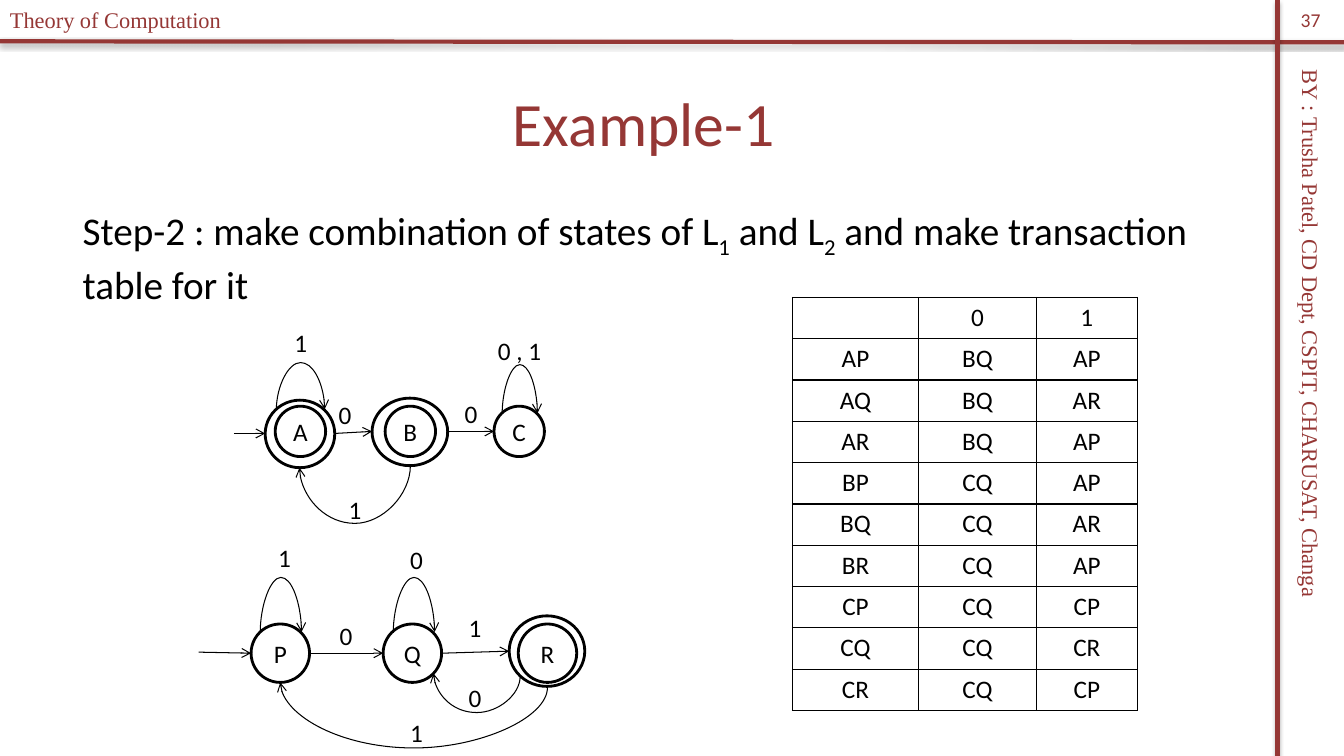
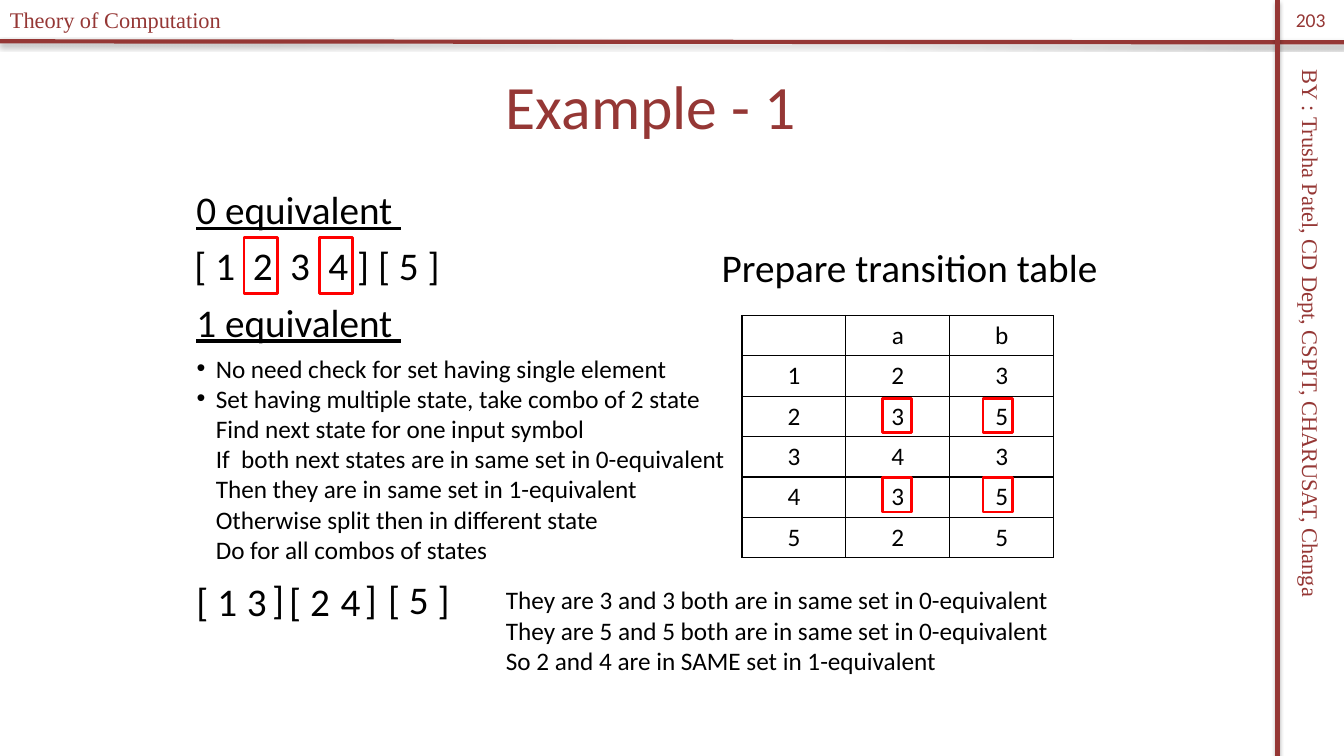
"""Builds two Theory of Computation slides: state combination and DFA minimisation."""
from dataclasses import dataclass
from itertools import product

from lxml import etree
from pptx import Presentation
from pptx import util as u
from pptx.dml.color import RGBColor
from pptx.enum import shapes, text
from pptx.oxml import parse_xml
from pptx.oxml.ns import nsdecls, qn


@dataclass(frozen=True)
class Theme:
    accent: str = "953735"
    ink: str = "000000"
    paper: str = "FFFFFF"
    mark: str = "FF0000"
    sans: str = "Calibri"
    serif: str = "Times New Roman"
    title: int = 44
    lead: int = 28
    normal: int = 18
    frame: int = 16
    number: int = 14
    thick: float = 3
    medium: float = 2
    thin: float = 0.75


THEME = Theme()
WIDTH, HEIGHT = 13.33, 7.5
RULE_X, RULE_Y = 12.67, 0.41
COURSE = "Theory of Computation"
AUTHOR = "BY : Trusha Patel, CD Dept, CSPIT, CHARUSAT, Changa"

COMBINE = {
    "title": "Example-1", "title_at": (0.22, 0.58, 12.33, 1.25), "number": "37",
    "body_at": (0.22, 2, 12.33, 5.25),
    "step": [("Step-2 : make combination of states of L", 0), ("1", -25), (" and L", 0),
             ("2", -25), (" and make transaction table for it", 0)],
    "table_at": (7.86, 2.95), "columns": (1.25, 1.17, 1), "row": 0.41,
    "rows": ["- 0 1", "AP BQ AP", "AQ BQ AR", "AR BQ AP", "BP CQ AP", "BQ CQ AR",
             "BR CQ AP", "CP CQ CP", "CQ CQ CR", "CR CQ CP"],
}
AUTOMATA = [
    {"size": 0.58, "top": 6.19, "states": {"P": 2.49, "Q": 3.8, "R": 5.14},
     "rings": [(5.05, 6.11, 0.75, 0.7)],
     "arrows": [(3.07, 6.48, 3.8, 6.48), (4.39, 6.48, 5.05, 6.46), (1.97, 6.47, 2.49, 6.48)],
     "curves": [(3.9, 6.28, 4.31, 6.27, 5.72), (2.58, 6.28, 2.99, 6.27, 5.72),
                (5.16, 6.71, 4.3, 6.68, 7.07), (5.43, 6.82, 2.78, 6.77, 7.42)],
     "labels": [("1", 2.66, 5.33), ("1", 4.55, 6.03), ("1", 3.97, 7.07),
                ("0", 3.27, 6.11), ("0", 3.97, 5.35), ("0", 4.55, 6.72)]},
    {"size": 0.5, "top": 4.03, "states": {"A": 2.73, "B": 3.82, "C": 4.9},
     "rings": [(3.69, 3.95, 0.75, 0.67), (2.63, 3.97, 0.69, 0.67)],
     "arrows": [(2.32, 4.3, 2.63, 4.3), (4.44, 4.28, 4.9, 4.28), (3.32, 4.3, 3.69, 4.28)],
     "curves": [(4.98, 4.11, 5.33, 4.1, 3.61), (2.74, 4.07, 3.22, 4.06, 3.59),
                (4.07, 4.62, 2.97, 4.64, 5.19)],
     "labels": [("0", 3.26, 3.91), ("1", 3.36, 4.86), ("0", 4.51, 3.9),
                ("0 , 1", 4.84, 3.28), ("1", 2.82, 3.2)]},
]
MINIMISE = {
    "title": "Example - 1", "title_at": (1.83, 0.42, 9.25, 1.25), "number": "203",
    "body_at": (1.85, 3.45, 5.62, 2.22),
    "rules": ["No need check for set having single element",
              "Set having multiple state, take combo of 2 state\n"
              "Find next state for one input symbol\n"
              "If  both next states are in same set in 0-equivalent\n"
              "Then they are in same set in 1-equivalent\n"
              "Otherwise split then in different state\n"
              "Do for all combos of states"],
    "table_at": (7.36, 3.13), "columns": (1.03, 1.03, 1.03), "row": 0.4,
    "rows": ["- a b", "1 2 3", "2 3 5", "3 4 3", "4 3 5", "5 2 5"],
    "headings": [("0 equivalent ", 1.79), ("1 equivalent ", 2.91)],
    "sets": [("Prepare transition table", 7.06, 2.36, 3.97, ()),
             ("[ 1\t2\t3\t4 ] [ 5 ]", 1.83, 2.34, 2.67, (0.58, 0.95, 1.33)),
             ("[ 1\t[ 2", 1.85, 5.68, 1.56, (0.92,)),
             ("3", 2.35, 5.68, 0.4, ()), ("4", 3.28, 5.68, 0.4, ()),
             ("]", 2.6, 5.66, 0.32, ()), ("]", 3.52, 5.66, 0.32, ()),
             ("[ 5 ]", 3.75, 5.66, 0.82, ())],
    "reasons": ["They are 3 and 3 both are in same set in 0-equivalent",
                "They are 5 and 5 both are in same set in 0-equivalent",
                "So 2 and 4 are in SAME set in 1-equivalent"],
    "marks": [(x, 2.36, 0.33, 0.55) for x in (2.42, 3.17)]
    + [(x, y, 0.29, 0.34) for x, y in product((8.75, 9.75), (3.95, 4.74))],
}


def inches(values):
    return [u.Inches(value) for value in values]


def color(code):
    return RGBColor.from_string(code)


def add_span(para, words, size, ink=THEME.ink, face=THEME.sans, underline=None):
    for index, line in enumerate(words.split("\n")):
        if index:
            para.add_line_break()
        span = para.add_run()
        span.text = line
        span.font.size, span.font.name = u.Pt(size), face
        span.font.color.rgb = color(ink)
        span.font.underline = underline
    return span


def write(holder, lines, size, align=text.PP_ALIGN.LEFT, tabs=(), **style):
    frame = holder.text_frame
    frame.word_wrap = True
    for index, line in enumerate(lines):
        para = frame.add_paragraph() if index else frame.paragraphs[0]
        para.alignment = align
        if tabs:
            stops = etree.SubElement(para._p.get_or_add_pPr(), qn("a:tabLst"))
            for stop in tabs:
                etree.SubElement(stops, qn("a:tab"), pos=str(u.Inches(stop)), algn="l")
        add_span(para, line, size, **style)


def add_text(page, at, lines, size, **style):
    box = page.shapes.add_textbox(*inches(at))
    write(box, lines, size, **style)
    return box


def indent(para, margin, hanging, bullet=None):
    para.space_before = u.Pt(0)
    props = para._p.get_or_add_pPr()
    props.set("marL", str(u.Inches(margin)))
    props.set("indent", str(u.Inches(hanging)))
    if bullet:
        etree.SubElement(props, qn("a:buFont"), typeface="Arial")
        etree.SubElement(props, qn("a:buChar"), char=bullet)
    else:
        etree.SubElement(props, qn("a:buNone"))


def add_line(page, ends, ink, weight, kind=shapes.MSO_CONNECTOR.STRAIGHT, arrow=True):
    line = page.shapes.add_connector(kind, *inches(ends))
    line.line.color.rgb = color(ink)
    line.line.width = u.Pt(weight)
    if arrow:
        etree.SubElement(line.line._get_or_add_ln(), qn("a:tailEnd"), type="arrow")
    etree.SubElement(line.element.spPr, qn("a:effectLst"))
    return line


def add_curve(page, x1, y1, x2, y2, reach):
    """Draws a U-shaped connector whose bend reaches the given height."""
    mid_x, mid_y = (x1 + x2) / 2, (y1 + y2) / 2
    half_x, half_y = (x2 - x1) / 2, (y2 - y1) / 2
    ends = (mid_x - half_y, mid_y + half_x, mid_x + half_y, mid_y - half_x)
    curve = add_line(page, ends, THEME.ink, THEME.thin, shapes.MSO_CONNECTOR.CURVE)
    props = curve.element.spPr
    props.find(qn("a:xfrm")).set("rot", "5400000")
    bend = round((reach - y1) / (y2 - y1) * 100000)
    guides = props.find(qn("a:prstGeom")).find(qn("a:avLst"))
    etree.SubElement(guides, qn("a:gd"), name="adj1", fmla=f"val {bend}")


def add_outline(page, kind, at, ink, fill=None):
    shape = page.shapes.add_shape(kind, *inches(at))
    shape.shadow.inherit = False
    shape.line.color.rgb = color(ink)
    shape.line.width = u.Pt(THEME.medium)
    if fill:
        shape.fill.solid()
        shape.fill.fore_color.rgb = color(fill)
    else:
        shape.fill.background()
    return shape


def add_grid(page, content):
    rows, columns = content["rows"], content["columns"]
    size = (sum(columns), content["row"] * len(rows))
    table = page.shapes.add_table(len(rows), len(columns),
                                  *inches(content["table_at"] + size)).table
    table.first_row = table.horz_banding = False
    for column, width in zip(table.columns, columns):
        column.width = u.Inches(width)
    for row, values in zip(table.rows, rows):
        row.height = u.Inches(content["row"])
        for cell, value in zip(row.cells, values.split()):
            props = cell._tc.get_or_add_tcPr()
            for side in ("lnL", "lnR", "lnT", "lnB"):
                props.append(parse_xml(
                    f'<a:{side} {nsdecls("a")} w="12700"><a:solidFill>'
                    f'<a:srgbClr val="{THEME.ink}"/></a:solidFill></a:{side}>'))
            cell.fill.background()
            if value != "-":
                write(cell, [value], THEME.normal, text.PP_ALIGN.CENTER)


def add_frame(page, layout):
    """Draws the rules and running texts once and hands them to the layout."""
    parts = []
    for ends in ((0, RULE_Y, WIDTH, RULE_Y + 0.01), (RULE_X, 0, RULE_X, HEIGHT)):
        rule = add_line(page, ends, THEME.accent, THEME.thick, arrow=False)
        rule.element.spPr.find(qn("a:effectLst")).append(parse_xml(
            f'<a:outerShdw {nsdecls("a")} blurRad="39370" dist="22860" dir="5400000" '
            f'rotWithShape="0"><a:srgbClr val="{THEME.ink}"><a:alpha val="35000"/>'
            '</a:srgbClr></a:outerShdw>'))
        parts.append(rule)
    style = {"ink": THEME.accent, "face": THEME.serif}
    side = add_text(page, (9.79, 3.62, 6.42, 0.37), [AUTHOR], THEME.frame, **style)
    side.rotation = 90
    parts += [side, add_text(page, (0, 0.01, 3.29, 0.37), [COURSE], THEME.frame, **style)]
    for part in parts:
        layout.shapes.element.append(part.element)


def start_page(deck, content):
    page = deck.slides.add_slide(deck.slide_layouts[1])
    title, body = page.placeholders
    for holder, key in ((title, "title_at"), (body, "body_at")):
        holder.left, holder.top, holder.width, holder.height = inches(content[key])
        holder.text_frame.auto_size = text.MSO_AUTO_SIZE.NONE
    centred = {"align": text.PP_ALIGN.CENTER, "ink": THEME.accent}
    write(title, [content["title"]], THEME.title, **centred)
    number = add_text(page, (RULE_X, 0, WIDTH - RULE_X, 0.4), [content["number"]],
                      THEME.number, **centred)
    number.text_frame.vertical_anchor = text.MSO_ANCHOR.MIDDLE
    add_grid(page, content)
    return page, body.text_frame


def add_automaton(page, machine):
    size = machine["size"]
    for name, left in machine["states"].items():
        state = add_outline(page, shapes.MSO_SHAPE.OVAL, (left, machine["top"], size, size),
                            THEME.ink, THEME.paper)
        frame = state.text_frame
        frame.margin_left = frame.margin_right = frame.margin_top = frame.margin_bottom = 0
        write(state, [name], THEME.normal, text.PP_ALIGN.CENTER)
    for ring in machine["rings"]:
        add_outline(page, shapes.MSO_SHAPE.OVAL, ring, THEME.ink)
    for ends in machine["arrows"]:
        add_line(page, ends, THEME.ink, THEME.thin)
    for curve in machine["curves"]:
        add_curve(page, *curve)
    for label, left, top in machine["labels"]:
        add_text(page, (left, top, 0.32 + 0.1 * len(label), 0.4), [label], THEME.normal)


def build_combine(deck):
    page, body = start_page(deck, COMBINE)
    para = body.paragraphs[0]
    indent(para, 0.5, 0)
    for words, baseline in COMBINE["step"]:
        span = add_span(para, words, THEME.lead)
        if baseline:
            span.font._element.set("baseline", str(baseline * 1000))
    for machine in AUTOMATA:
        add_automaton(page, machine)
    return page


def build_minimise(deck):
    page, body = start_page(deck, MINIMISE)
    for index, rule in enumerate(MINIMISE["rules"]):
        para = body.add_paragraph() if index else body.paragraphs[0]
        indent(para, 0.19, -0.19, "•")
        add_span(para, rule, THEME.normal)
    for heading, top in MINIMISE["headings"]:
        add_text(page, (1.85, top, 2.4, 0.57), [heading], THEME.lead, underline=True)
    for words, left, top, width, tabs in MINIMISE["sets"]:
        add_text(page, (left, top, width + 0.1, 0.57), [words], THEME.lead, tabs=tabs)
    add_text(page, (4.92, 5.75, 6.17, 1.01), MINIMISE["reasons"], THEME.normal)
    for at in MINIMISE["marks"]:
        add_outline(page, shapes.MSO_SHAPE.RECTANGLE, at, THEME.mark)


def main():
    deck = Presentation()
    deck.slide_width, deck.slide_height = inches((WIDTH, HEIGHT))
    first = build_combine(deck)
    add_frame(first, deck.slide_layouts[1])
    build_minimise(deck)
    deck.save("out.pptx")


if __name__ == "__main__":
    main()
